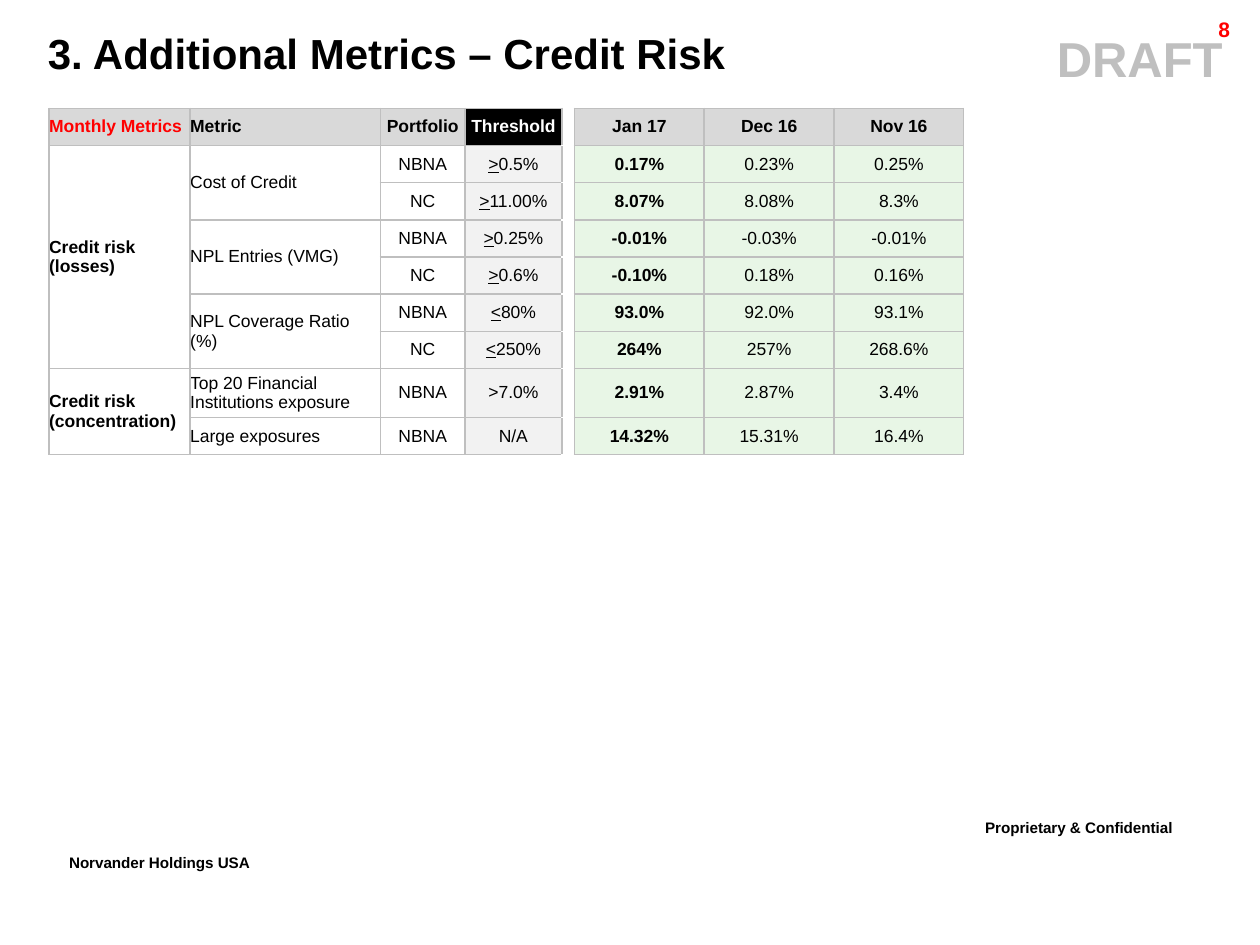
import lxml.etree
import pptx
import pptx.dml.color
import pptx.enum.text
import pptx.oxml.ns
import pptx.util

RGBColor = pptx.dml.color.RGBColor
ALIGN = pptx.enum.text.PP_ALIGN
ANCHOR = pptx.enum.text.MSO_ANCHOR
Inches = pptx.util.Inches
Pt = pptx.util.Pt
qn = pptx.oxml.ns.qn

BLACK = RGBColor(0x00, 0x00, 0x00)
WHITE = RGBColor(0xFF, 0xFF, 0xFF)
RED = RGBColor(0xFF, 0x00, 0x00)
RULE_GRAY = RGBColor(0xBF, 0xBF, 0xBF)
HEADER_GRAY = RGBColor(0xD9, 0xD9, 0xD9)
THRESHOLD_GRAY = RGBColor(0xF2, 0xF2, 0xF2)
VALUE_GREEN = RGBColor(0xE8, 0xF6, 0xE6)


def style(para, size, color, bold=True, align=ALIGN.LEFT):
    para.alignment = align
    para.font.name = "Arial"
    para.font.size = Pt(size)
    para.font.bold = bold
    para.font.color.rgb = color


def add_label(page, text, area, size, color, align=ALIGN.LEFT, wrap=True):
    box = page.shapes.add_textbox(*[Inches(length) for length in area])
    box.text_frame.word_wrap = wrap
    para = box.text_frame.paragraphs[0]
    para.add_run().text = text
    style(para, size, color, align=align)
    return para


deck = pptx.Presentation()
deck.slide_width, deck.slide_height = Inches(10), Inches(7.5)
page = deck.slides.add_slide(deck.slide_layouts[5])

# Footer notes, set as raised text
for text, area, wrap in [
    ("Proprietary & Confidential", (7.72, 6.42, 2.18, 0.35), True),
    ("Norvander Holdings USA", (0.45, 6.7, 1.91, 0.35), False),
]:
    para = add_label(page, text, area, 15, BLACK, wrap=wrap)
    para.runs[0].font._element.set("baseline", "30000")

# Draft mark and page number
add_label(page, "DRAFT", (8.15, 0.18, 1.79, 0.57), 28, RULE_GRAY, ALIGN.CENTER)
number = add_label(page, "8", (8.91, 0.11, 0.95, 0.24), 12, RED, ALIGN.RIGHT)
number.line_spacing = 0.86

# Title
title = page.shapes.title
title.left, title.top = Inches(0.28), Inches(0.17)
title.width, title.height = Inches(9.35), Inches(0.5)
title.text_frame.text = "3. Additional Metrics – Credit Risk"
title.text_frame.auto_size = pptx.enum.text.MSO_AUTO_SIZE.NONE
title.text_frame.vertical_anchor = ANCHOR.MIDDLE
style(title.text_frame.paragraphs[0], 24, BLACK)

# Table contents; None marks the gap column and cells covered by a merge
ROWS = [
    ["Monthly Metrics", "Metric", "Portfolio", "Threshold", None, "Jan 17", "Dec 16", "Nov 16"],
    ["Credit risk (losses)", "Cost of Credit", "NBNA", ">0.5%", None, "0.17%", "0.23%", "0.25%"],
    [None, None, "NC", ">11.00%", None, "8.07%", "8.08%", "8.3%"],
    [None, "NPL Entries (VMG)", "NBNA", ">0.25%", None, "-0.01%", "-0.03%", "-0.01%"],
    [None, None, "NC", ">0.6%", None, "-0.10%", "0.18%", "0.16%"],
    [None, "NPL Coverage Ratio (%)", "NBNA", "<80%", None, "93.0%", "92.0%", "93.1%"],
    [None, None, "NC", "<250%", None, "264%", "257%", "268.6%"],
    ["Credit risk (concentration)", "Top 20 Financial Institutions exposure",
     "NBNA", ">7.0%", None, "2.91%", "2.87%", "3.4%"],
    [None, "Large exposures", "NBNA", "N/A", None, "14.32%", "15.31%", "16.4%"],
]
COLUMN_WIDTHS = [1.12, 1.51, 0.67, 0.77, 0.1, 1.03, 1.03, 1.03]
TABLE_HEIGHT, TALL_ROW, TALL_HEIGHT = 2.75, 7, 0.39
SHORT_HEIGHT = (TABLE_HEIGHT - TALL_HEIGHT) / (len(ROWS) - 1)
THRESHOLD, GAP, LATEST = 3, 4, 5
MERGES = [(1, 6, 0), (7, 8, 0), (1, 2, 1), (3, 4, 1), (5, 6, 1)]

frame = page.shapes.add_table(
    len(ROWS), len(COLUMN_WIDTHS), Inches(0.39), Inches(0.86),
    Inches(sum(COLUMN_WIDTHS)), Inches(TABLE_HEIGHT))
table = frame.table
for column, width in zip(table.columns, COLUMN_WIDTHS):
    column.width = Inches(width)
for index, row in enumerate(table.rows):
    row.height = Inches(TALL_HEIGHT if index == TALL_ROW else SHORT_HEIGHT)
for first, last, column in MERGES:
    table.cell(first, column).merge(table.cell(last, column))

for r, texts in enumerate(ROWS):
    for c, text in enumerate(texts):
        cell = table.cell(r, c)
        cell.vertical_anchor = ANCHOR.MIDDLE
        cell.margin_left = cell.margin_right = cell.margin_top = cell.margin_bottom = 0

        # Borders: the gap column has only its sides
        properties = cell._tc.get_or_add_tcPr()
        for side in ("L", "R") if c == GAP else ("L", "R", "T", "B"):
            line = lxml.etree.SubElement(properties, qn("a:ln" + side), w=str(Pt(1)))
            paint = lxml.etree.SubElement(line, qn("a:solidFill"))
            lxml.etree.SubElement(paint, qn("a:srgbClr"), val=str(RULE_GRAY))

        # Fill
        if c == GAP or (r > 0 and c < THRESHOLD):
            cell.fill.background()
        else:
            cell.fill.solid()
            if r == 0:
                cell.fill.fore_color.rgb = BLACK if c == THRESHOLD else HEADER_GRAY
            else:
                cell.fill.fore_color.rgb = THRESHOLD_GRAY if c == THRESHOLD else VALUE_GREEN

        # Text: the comparison sign is underlined to read "or equal"
        para = cell.text_frame.paragraphs[0]
        color = {0: RED, THRESHOLD: WHITE}.get(c, BLACK) if r == 0 else BLACK
        style(para, 10, color, r == 0 or c in (0, LATEST),
              ALIGN.LEFT if c < 2 else ALIGN.CENTER)
        if text is None:
            lxml.etree.SubElement(para._p, qn("a:endParaRPr"), sz="1000")
        elif text[0] in "<>" and r != TALL_ROW:
            sign = para.add_run()
            sign.text = text[0]
            sign.font.underline = True
            para.add_run().text = text[1:]
        else:
            para.add_run().text = text

deck.save("out.pptx")
